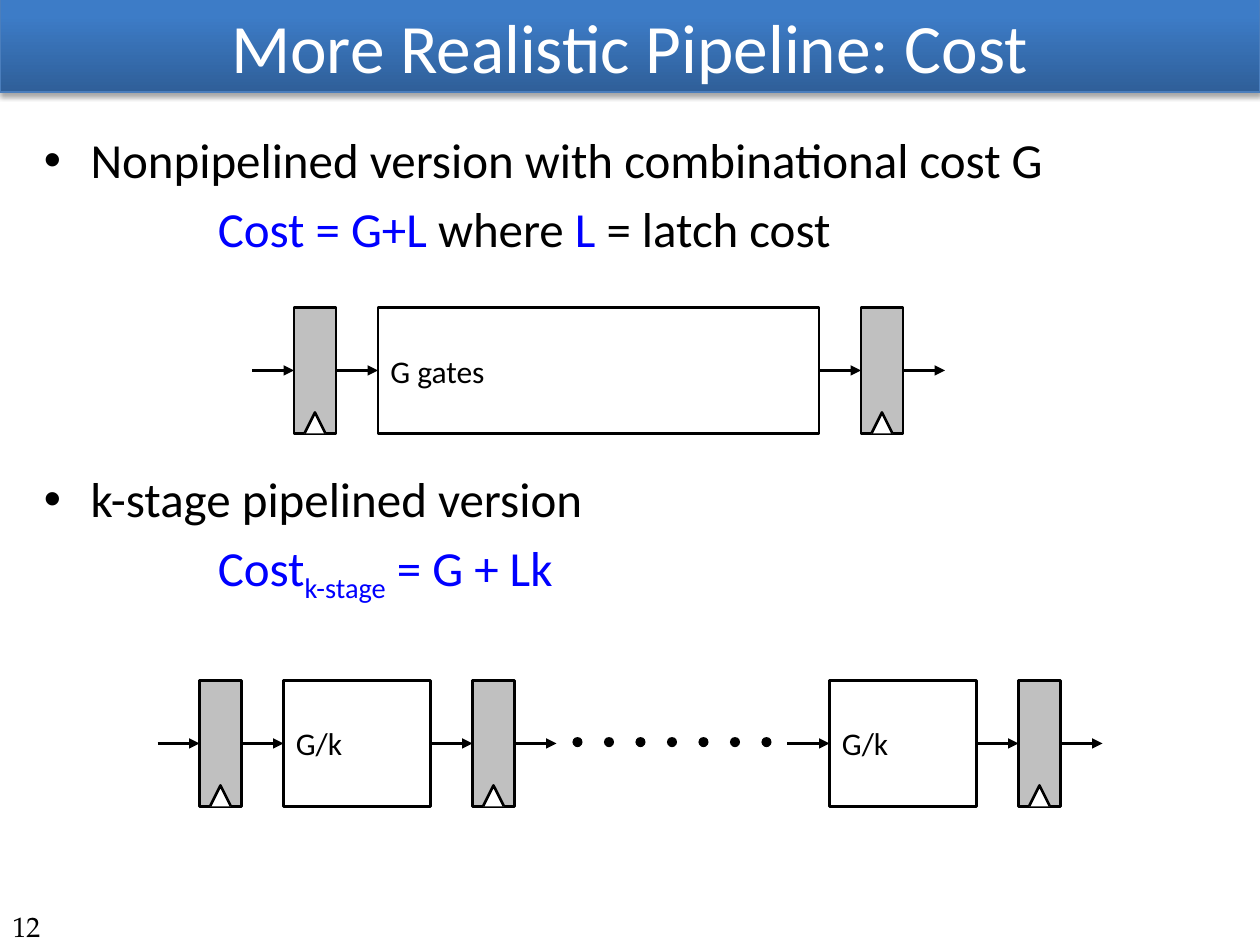
"""Builds the slide on the cost of a realistic pipeline."""
from lxml.etree import SubElement
from pptx import Presentation
from pptx.dml.color import RGBColor
from pptx.enum.shapes import MSO_CONNECTOR, MSO_SHAPE
from pptx.enum.text import MSO_ANCHOR, PP_ALIGN
from pptx.oxml import parse_xml
from pptx.oxml.ns import nsdecls, qn
from pptx.util import Inches, Pt

BLACK = RGBColor(0, 0, 0)
WHITE = RGBColor(255, 255, 255)
BLUE = RGBColor(0, 0, 255)
LATCH_GRAY = RGBColor(0xC0, 0xC0, 0xC0)
BAND_EDGE = RGBColor(0x4B, 0x7E, 0xBC)
BAND_STOPS = ((0, RGBColor(0x2F, 0x5F, 0x99)), (0.8, RGBColor(0x3D, 0x7C, 0xC7)))

TITLE = "More Realistic Pipeline: Cost"
PAGE_NUMBER = "12"
BODY = [
    {"bullet": True, "before": 5.6,
     "runs": [("Nonpipelined version with combinational cost G", BLACK, 0)]},
    {"bullet": False, "before": 5.6,
     "runs": [("Cost = G+L ", BLUE, 0), ("where ", BLACK, 0),
              ("L ", BLUE, 0), ("= latch cost", BLACK, 0)]},
    {"bullet": True, "before": 121,
     "runs": [("k-stage pipelined version", BLACK, 0)]},
    {"bullet": False, "before": 5.6,
     "runs": [("Cost", BLUE, 0), ("k-stage", BLUE, -25000), (" = G + Lk", BLUE, 0)]},
]

STEP = 1 / 3
HEIGHT = 1
ARROW, LATCH = ("arrow", STEP, ""), ("latch", STEP, "")
STAGE = ("gates", 3.5 * STEP, "G/k")
PIPELINES = [
    (2, 2.44, [ARROW, LATCH, ARROW, ("gates", 3.5, "G gates"), ARROW, LATCH, ARROW]),
    (1.25, 5.4, [ARROW, LATCH, ARROW, STAGE, ARROW, LATCH, ARROW,
                 ("dots", 5.5 * STEP, ""), ARROW, STAGE, ARROW, LATCH, ARROW]),
]
DOT_COUNT, DOT_PITCH, DOT_SIZE = 7, 0.25, 0.08


def style_run(run, size, color, font="Calibri"):
    run.font.size, run.font.name = Pt(size), font
    run.font.color.rgb = color


def style_shape(shape, fill, line=BLACK):
    shape.shadow.inherit = False
    shape.fill.solid()
    shape.fill.fore_color.rgb = fill
    if line is None:
        shape.line.fill.background()
    else:
        shape.line.color.rgb = line
        shape.line.width = Pt(1.5)


def add_box(kind, left, top, width, height, fill, line=BLACK):
    box = slide.shapes.add_shape(kind, Inches(left), Inches(top), Inches(width), Inches(height))
    style_shape(box, fill, line)
    return box


def draw_arrow(left, top, width, label):
    middle = Inches(top + HEIGHT / 2)
    arrow = slide.shapes.add_connector(
        MSO_CONNECTOR.STRAIGHT, Inches(left), middle, Inches(left + width), middle)
    arrow.line.color.rgb = BLACK
    arrow.line.width = Pt(1.5)
    SubElement(arrow.line._get_or_add_ln(), qn("a:tailEnd"), type="triangle")
    SubElement(arrow._element.spPr, qn("a:effectLst"))


def draw_latch(left, top, width, label):
    add_box(MSO_SHAPE.RECTANGLE, left, top, width, HEIGHT, LATCH_GRAY)
    center, bottom, half = left + width / 2, top + HEIGHT, width / 4
    clock = slide.shapes.build_freeform(Inches(center - half), Inches(bottom))
    clock.add_line_segments(
        [(Inches(center), Inches(bottom - 2 * half)), (Inches(center + half), Inches(bottom))],
        close=False)
    style_shape(clock.convert_to_shape(), WHITE)


def draw_gates(left, top, width, label):
    gates = add_box(MSO_SHAPE.RECTANGLE, left, top, width, HEIGHT, WHITE)
    gates.text_frame.vertical_anchor = MSO_ANCHOR.MIDDLE
    caption = gates.text_frame.paragraphs[0]
    caption.alignment = PP_ALIGN.LEFT
    run = caption.add_run()
    run.text = label
    style_run(run, 18, BLACK)


def draw_dots(left, top, width, label):
    first = left + (width - (DOT_COUNT - 1) * DOT_PITCH - DOT_SIZE) / 2
    for index in range(DOT_COUNT):
        add_box(MSO_SHAPE.OVAL, first + index * DOT_PITCH,
                top + (HEIGHT - DOT_SIZE) / 2 - 0.01, DOT_SIZE, DOT_SIZE, BLACK, None)


DRAW = {"arrow": draw_arrow, "latch": draw_latch, "gates": draw_gates, "dots": draw_dots}

deck = Presentation()
deck.slide_width, deck.slide_height = Inches(10), Inches(7.5)
slide = deck.slides.add_slide(deck.slide_layouts[5])

title = slide.shapes.title
title.left, title.top, title.width, title.height = Inches(0), Inches(0.05), Inches(10), Inches(0.63)
title.text_frame.vertical_anchor = MSO_ANCHOR.MIDDLE
heading = title.text_frame.paragraphs[0]
heading.alignment = PP_ALIGN.CENTER
heading_run = heading.add_run()
heading_run.text = TITLE
style_run(heading_run, 39.6, WHITE)

band = add_box(MSO_SHAPE.RECTANGLE, 0, -0.03, 10, 0.76, WHITE, BAND_EDGE)
band.line.width = Pt(0.75)
band.fill.gradient()
band.fill.gradient_angle = 90
for stop, (position, color) in zip(band.fill.gradient_stops, BAND_STOPS):
    stop.color.rgb = color
    stop.position = position
band._element.spPr.find(qn("a:effectLst")).append(parse_xml(
    f'<a:outerShdw {nsdecls("a")} blurRad="{Pt(3.1)}" dist="{Pt(1.8)}" dir="5400000" '
    'rotWithShape="0"><a:srgbClr val="000000"><a:alpha val="35000"/></a:srgbClr></a:outerShdw>'))
title._element.addprevious(band._element)

body = slide.shapes.add_textbox(Inches(0.25), Inches(0.98), Inches(9.42), Inches(5.68)).text_frame
body.word_wrap = True
for index, entry in enumerate(BODY):
    paragraph = body.add_paragraph() if index else body.paragraphs[0]
    paragraph.space_before = Pt(entry["before"])
    properties = paragraph._p.get_or_add_pPr()
    properties.set("marL", str(Inches(0.37 if entry["bullet"] else 1.38)))
    if entry["bullet"]:
        properties.set("indent", str(Inches(-0.37)))
        SubElement(properties, qn("a:buFont"), typeface="Arial")
        SubElement(properties, qn("a:buChar"), char="•")
    for text, color, baseline in entry["runs"]:
        run = paragraph.add_run()
        run.text = text
        style_run(run, 28, color)
        if baseline:
            run.font._element.set("baseline", str(baseline))

footer = slide.shapes.add_textbox(Inches(0), Inches(7.21), Inches(3.17), Inches(0.29)).text_frame
footer.word_wrap = True
footer.vertical_anchor = MSO_ANCHOR.MIDDLE
page_run = footer.paragraphs[0].add_run()
page_run.text = PAGE_NUMBER
style_run(page_run, 16, BLACK, "TeX Gyre Pagella")

for left, top, parts in PIPELINES:
    for kind, width, label in parts:
        DRAW[kind](left, top, width, label)
        left += width

deck.save("out.pptx")
